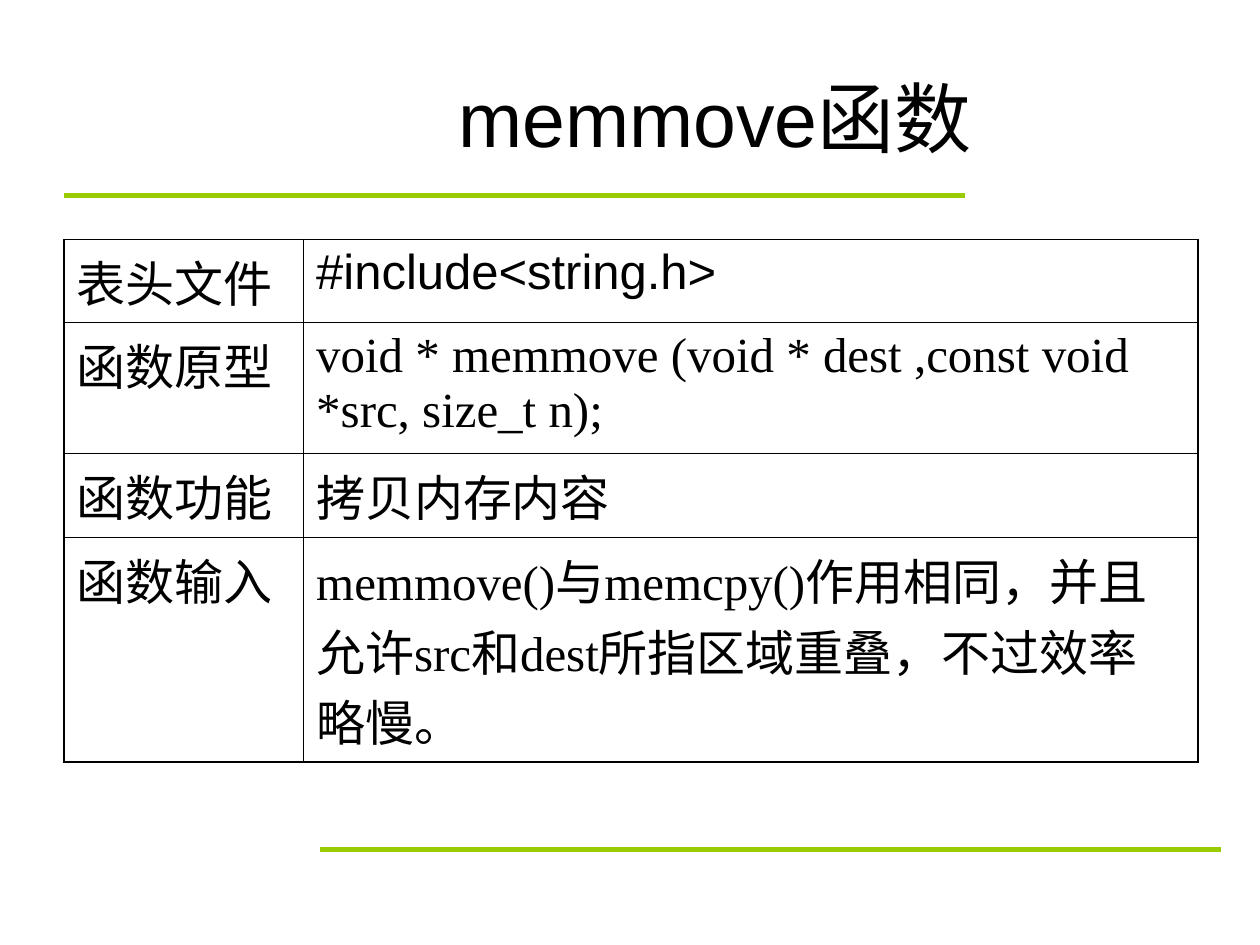
import pptx
import pptx.dml.color
import pptx.enum.shapes
import pptx.enum.text
import pptx.oxml
import pptx.oxml.ns
import pptx.util

COLORS = {"text": "000000", "border": "000000", "rule": "99CC00"}
SANS, SERIF = "Arial", "Times New Roman"
OUTER, INNER = 1.08, 0.45
FUNCTION_ROWS = [
    ("表头文件", "#include<string.h>", SANS),
    ("函数原型", "void * memmove (void * dest ,const void *src, size_t n);", SERIF),
    ("函数功能", "拷贝内存内容", SANS),
    ("函数输入", "memmove()与memcpy()作用相同，并且允许src和dest所指区域重叠，不过效率略慢。", SERIF),
]


def color(name):
    """Return the named palette colour."""
    return pptx.dml.color.RGBColor.from_string(COLORS[name])


def write(frame, text, font=SANS, size=28, align="LEFT", before=0):
    """Put one formatted paragraph into a text frame."""
    frame.word_wrap = True
    paragraph = frame.paragraphs[0]
    paragraph.alignment = getattr(pptx.enum.text.PP_ALIGN, align)
    paragraph.space_before = pptx.util.Pt(before)
    run = paragraph.add_run()
    run.text = text
    run.font.name = font
    run.font.size = pptx.util.Pt(size)
    run.font.color.rgb = color("text")


def add_borders(cell, widths):
    """Draw the cell's sides, given widths in points by side letter."""
    properties = cell._tc.get_or_add_tcPr()
    namespace = pptx.oxml.ns.nsdecls("a")
    for index, (side, width) in enumerate(widths.items()):
        properties.insert(index, pptx.oxml.parse_xml(
            f'<a:ln{side} {namespace} w="{pptx.util.Pt(width)}"><a:solidFill>'
            f'<a:srgbClr val="{COLORS["border"]}"/></a:solidFill></a:ln{side}>'))


class SlideBuilder:
    """Place styled elements on a slide with a grid of 100 columns by 75 rows."""

    def __init__(self, presentation):
        """Add a title-only slide and derive the grid unit."""
        self.slide = presentation.slides.add_slide(presentation.slide_layouts[5])
        self.column = presentation.slide_width / 100
        self.row = presentation.slide_height / 75

    def box(self, left, top, width, height):
        """Convert grid units to slide lengths."""
        return (round(left * self.column), round(top * self.row),
                round(width * self.column), round(height * self.row))

    def title(self, text, *area):
        """Move and fill the title placeholder."""
        shape = self.slide.shapes.title
        shape.left, shape.top, shape.width, shape.height = self.box(*area)
        shape.text_frame.auto_size = pptx.enum.text.MSO_AUTO_SIZE.NONE
        shape.text_frame.vertical_anchor = pptx.enum.text.MSO_ANCHOR.MIDDLE
        write(shape.text_frame, text, size=44, align="CENTER")

    def rule(self, left, top, width):
        """Draw a horizontal accent line."""
        x, y, length, _ = self.box(left, top, width, 0)
        line = self.slide.shapes.add_connector(
            pptx.enum.shapes.MSO_CONNECTOR.STRAIGHT, x, y, x + length, y)
        line.line.color.rgb = color("rule")
        line.line.width = pptx.util.Pt(3)
        line._element.spPr.append(pptx.oxml.parse_xml(
            f'<a:effectLst {pptx.oxml.ns.nsdecls("a")}/>'))

    def table(self, rows, left, top, widths, heights):
        """Draw a two-column table of labels and descriptions."""
        area = self.box(left, top, sum(widths), sum(heights))
        table = self.slide.shapes.add_table(len(rows), len(widths), *area).table
        table.first_row = table.horz_banding = False
        for column, width in zip(table.columns, widths):
            column.width = round(width * self.column)
        for row, height in zip(table.rows, heights):
            row.height = round(height * self.row)
        last_row, last_column = len(rows) - 1, len(widths) - 1
        for i, (label, description, font) in enumerate(rows):
            for j, (text, face) in enumerate([(label, SANS), (description, font)]):
                cell = table.cell(i, j)
                cell.fill.background()
                write(cell.text_frame, text, font=face, before=7)
                add_borders(cell, {
                    "L": INNER if j else OUTER,
                    "R": OUTER if j == last_column else INNER,
                    "T": INNER if i else OUTER,
                    "B": OUTER if i == last_row else INNER})


def main():
    """Build and save the slide."""
    presentation = pptx.Presentation()
    presentation.slide_width = pptx.util.Inches(10)
    presentation.slide_height = pptx.util.Inches(7.5)
    builder = SlideBuilder(presentation)
    builder.rule(5.1, 15.5, 71.5)
    builder.rule(25.4, 67.4, 71.5)
    builder.title("memmove函数", 18.5, 3, 76.5, 12.5)
    builder.table(FUNCTION_ROWS, 5.1, 19, (19, 71), (5.7, 10.4, 5.7, 15))
    presentation.save("out.pptx")


if __name__ == "__main__":
    main()
